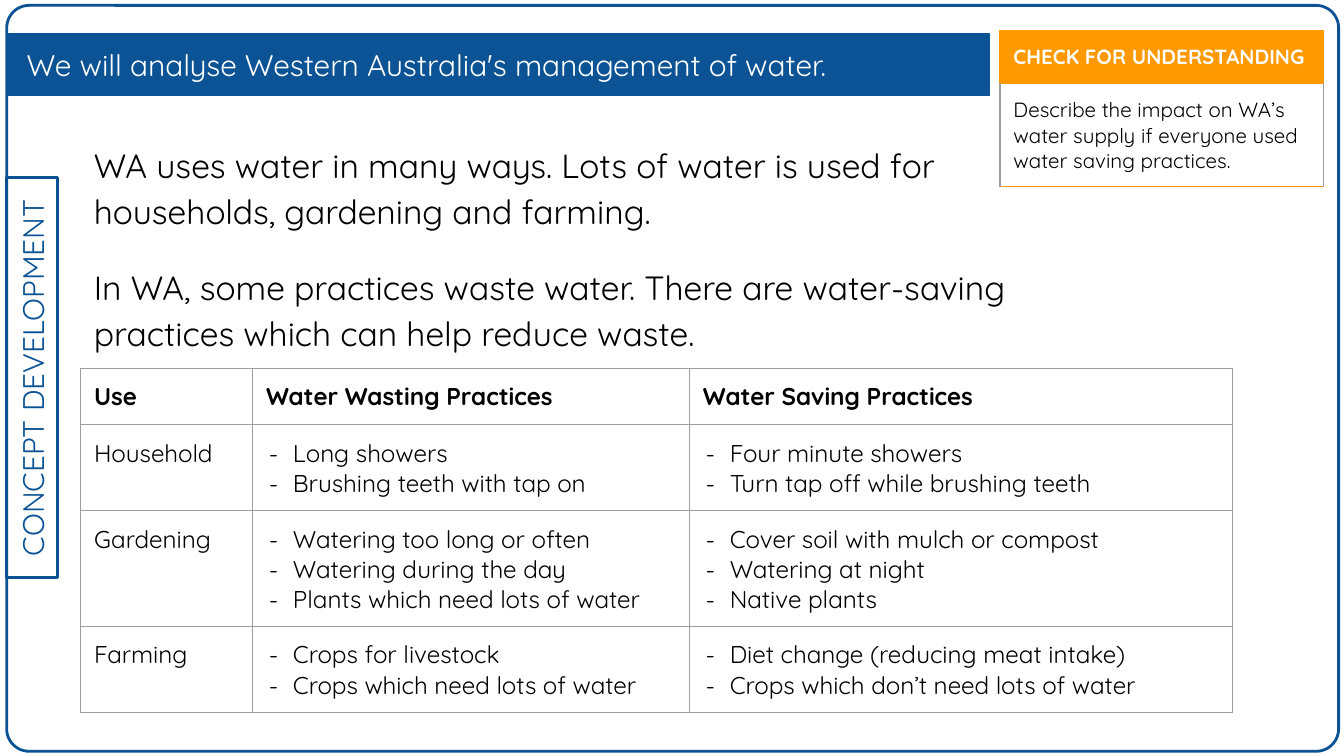
from dataclasses import dataclass

from lxml.etree import SubElement
from pptx import Presentation
from pptx.dml.color import RGBColor
from pptx.enum.shapes import MSO_SHAPE
from pptx.enum.text import MSO_ANCHOR, PP_ALIGN
from pptx.oxml.ns import qn
from pptx.util import Inches, Pt

# Content
SIDE_LABEL = "CONCEPT DEVELOPMENT"
OBJECTIVE = "We will analyse Western Australia's management of water."
EXPLANATION = [
    "WA uses water in many ways. Lots of water is used for households, gardening and farming.",
    "In WA, some practices waste water. There are water-saving practices which can help reduce waste.",
]
CHECK_TITLE = "CHECK FOR UNDERSTANDING"
CHECK_TASK = "Describe the impact on WA’s water supply if everyone used water saving practices."
HEADINGS = ["Use", "Water Wasting Practices", "Water Saving Practices"]
PRACTICES = [
    ("Household",
     ["Long showers", "Brushing teeth with tap on"],
     ["Four minute showers", "Turn tap off while brushing teeth"]),
    ("Gardening",
     ["Watering too long or often", "Watering during the day", "Plants which need lots of water"],
     ["Cover soil with mulch or compost", "Watering at night", "Native plants"]),
    ("Farming",
     ["Crops for livestock", "Crops which need lots of water"],
     ["Diet change (reducing meat intake)", "Crops which don’t need lots of water"]),
]


@dataclass(frozen=True)
class Theme:
    font: str = "Quicksand"
    blue: str = "0B5394"
    orange: str = "FF9900"
    grey: str = "9E9E9E"
    black: str = "000000"
    white: str = "FFFFFF"
    title_size: int = 16
    body_size: int = 18
    table_size: int = 13
    check_size: int = 11
    margin: float = 0.1


THEME = Theme()


def write(frame, lines, size, color, bold=False):
    """Fill a text frame with one paragraph per line."""
    frame.text = "\n".join(lines)
    for paragraph in frame.paragraphs:
        for span in paragraph.runs:
            span.font.name = THEME.font
            span.font.size = Pt(size)
            span.font.bold = bold
            span.font.color.rgb = RGBColor.from_string(color)


def set_margins(holder):
    holder.margin_left = holder.margin_right = Inches(THEME.margin)
    holder.margin_top = holder.margin_bottom = Inches(THEME.margin)


def add_panel(page, place, kind=MSO_SHAPE.RECTANGLE, fill=None, line_width=1.5):
    panel = page.shapes.add_shape(kind, *map(Inches, place))
    panel.shadow.inherit = False
    if fill:
        panel.fill.solid()
        panel.fill.fore_color.rgb = RGBColor.from_string(fill)
    else:
        panel.fill.background()
    panel.line.color.rgb = RGBColor.from_string(THEME.blue)
    panel.line.width = Pt(line_width)
    return panel


def add_text(page, place, lines, size, color, anchor=MSO_ANCHOR.TOP):
    box = page.shapes.add_textbox(*map(Inches, place))
    frame = box.text_frame
    frame.word_wrap = True
    frame.vertical_anchor = anchor
    set_margins(frame)
    write(frame, lines, size, color)
    return frame


def add_grid(page, left, top, widths, heights):
    grid = page.shapes.add_table(
        len(heights), len(widths), Inches(left), Inches(top),
        Inches(sum(widths)), Inches(sum(heights))).table
    grid.first_row = grid.horz_banding = False
    for column, width in zip(grid.columns, widths):
        column.width = Inches(width)
    for row, height in zip(grid.rows, heights):
        row.height = Inches(height)
    return grid


def fill_cell(cell, lines, size, color=THEME.black, bold=False, fill=None,
              sides=THEME.grey, ends=THEME.grey):
    set_margins(cell)
    write(cell.text_frame, lines, size, color, bold)
    properties = cell._tc.get_or_add_tcPr()
    for edge, edge_color in (("L", sides), ("R", sides), ("T", ends), ("B", ends)):
        border = SubElement(properties, qn(f"a:ln{edge}"), w=str(Pt(0.75)))
        solid = SubElement(border, qn("a:solidFill"))
        SubElement(solid, qn("a:srgbClr"), val=edge_color)
    if fill:
        cell.fill.solid()
        cell.fill.fore_color.rgb = RGBColor.from_string(fill)
    else:
        cell.fill.background()


def add_dashes(frame):
    for paragraph in frame.paragraphs:
        properties = paragraph._p.get_or_add_pPr()
        properties.set("marL", str(Inches(0.2)))
        properties.set("indent", str(Inches(-0.18)))
        bullet_color = SubElement(properties, qn("a:buClr"))
        SubElement(bullet_color, qn("a:srgbClr"), val=THEME.black)
        SubElement(properties, qn("a:buFont"), typeface=THEME.font)
        SubElement(properties, qn("a:buChar"), char="-")


def main():
    # Widescreen page, 16:9
    deck = Presentation()
    deck.slide_width = Inches(10)
    deck.slide_height = deck.slide_width * 9 // 16
    page = deck.slides.add_slide(deck.slide_layouts[6])

    # Frame, side label and objective bar
    frame = add_panel(page, (0.05, 0.04, 9.91, 5.55), MSO_SHAPE.ROUNDED_RECTANGLE)
    frame.adjustments[0] = 0.03
    label = add_panel(page, (-1.25, 2.62, 2.98, 0.38))
    label.rotation = 270
    set_margins(label.text_frame)
    label.text_frame.vertical_anchor = MSO_ANCHOR.MIDDLE
    write(label.text_frame, [SIDE_LABEL], THEME.title_size, THEME.blue)
    label.text_frame.paragraphs[0].alignment = PP_ALIGN.CENTER
    add_panel(page, (0.05, 0.25, 7.31, 0.46), fill=THEME.blue, line_width=0.75)
    add_text(page, (0.1, 0.29, 7.21, 0.38), [OBJECTIVE],
             THEME.title_size, THEME.white, MSO_ANCHOR.MIDDLE)

    # Explanation
    explanation = add_text(page, (0.6, 0.93, 7.04, 4.45), EXPLANATION,
                           THEME.body_size, THEME.black)
    for number, paragraph in enumerate(explanation.paragraphs):
        paragraph.line_spacing = 1.15
        if number:
            paragraph.space_before = Pt(16)

    # Practices table: row height follows the longest list
    line_height = 0.22
    heights = [0.42] + [2 * THEME.margin + line_height * len(row[1]) for row in PRACTICES]
    grid = add_grid(page, 0.6, 2.74, [1.28, 3.25, 4.04], heights)
    for column, heading in enumerate(HEADINGS):
        fill_cell(grid.cell(0, column), [heading], THEME.table_size, bold=True)
    for row, (use, *practice_lists) in enumerate(PRACTICES, start=1):
        fill_cell(grid.cell(row, 0), [use], THEME.table_size)
        for column, practices in enumerate(practice_lists, start=1):
            cell = grid.cell(row, column)
            fill_cell(cell, practices, THEME.table_size)
            add_dashes(cell.text_frame)

    # Check for understanding
    check = add_grid(page, 7.44, 0.23, [2.41], [0.39, 0.77])
    fill_cell(check.cell(0, 0), [CHECK_TITLE], THEME.check_size, THEME.white, bold=True,
              fill=THEME.orange, sides=THEME.orange, ends=THEME.orange)
    fill_cell(check.cell(1, 0), [CHECK_TASK], THEME.check_size, ends=THEME.orange)

    deck.save("out.pptx")


if __name__ == "__main__":
    main()
